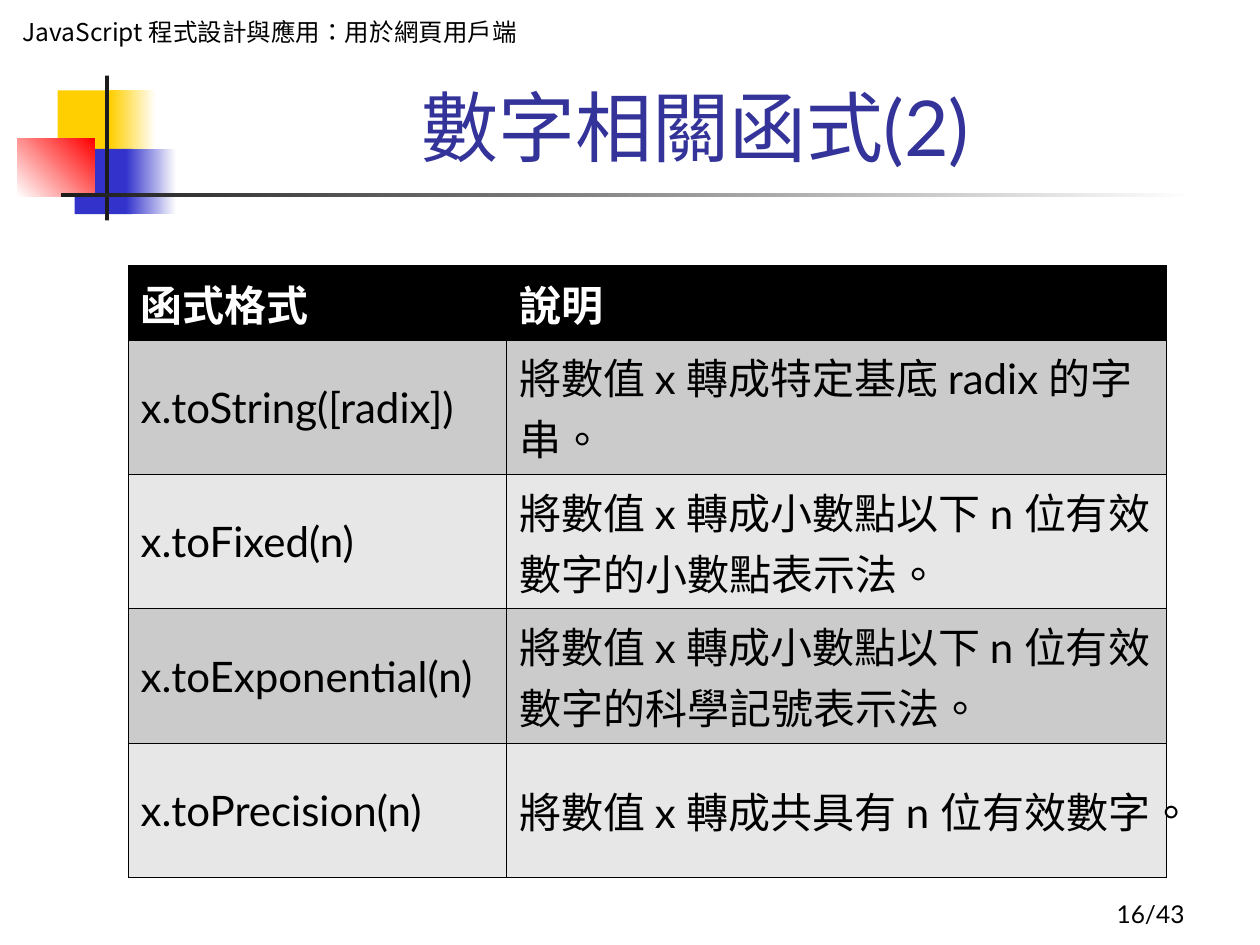
from lxml import etree
from pptx import Presentation
from pptx import util as u
from pptx.dml.color import RGBColor
from pptx.enum import shapes, text
from pptx.oxml.ns import qn

Pt = u.Pt
LATIN, CJK = "Lato", "Noto Sans CJK SC"
BLACK, WHITE, INK = "000000", "FFFFFF", "1C1C1C"
YELLOW, BLUE, RED, TITLE_BLUE = "FFCF01", "3333CC", "FF0000", "333399"
HEAD_FILL, BAND_FILLS = BLACK, ("CBCBCB", "E7E7E7")

ROWS = [
    ("函式格式", "說明"),
    ("x.toString([radix])", "將數值 x 轉成特定基底 radix 的字串。"),
    ("x.toFixed(n)", "將數值 x 轉成小數點以下 n 位有效數字的小數點表示法。"),
    ("x.toExponential(n)", "將數值 x 轉成小數點以下 n 位有效數字的科學記號表示法。"),
    ("x.toPrecision(n)", "將數值 x 轉成共具有 n 位有效數字。"),
]


def color(value):
    return RGBColor.from_string(value)


def write(frame, words, size, tint, bold=False, font=LATIN, align=text.PP_ALIGN.LEFT):
    para = frame.paragraphs[0]
    para.text = words
    para.alignment = align
    para.font.size = Pt(size)
    para.font.name = font
    para.font.bold = bold
    para.font.color.rgb = color(tint)
    # East Asian typeface, and Traditional Chinese for centred punctuation
    east = etree.Element(qn("a:ea"), typeface=CJK)
    para.font._element.find(qn("a:latin")).addnext(east)
    for span in para.runs:
        span.font._element.set("lang", "zh-TW")
    return para


def add_block(page, box, start, end=None, angle=0):
    """A borderless rectangle, plain or with a gradient from start to end."""
    block = page.shapes.add_shape(shapes.MSO_SHAPE.RECTANGLE, *map(Pt, box))
    block.shadow.inherit = False
    block.line.fill.background()
    if end is None:
        block.fill.solid()
        block.fill.fore_color.rgb = color(start)
    else:
        block.fill.gradient()
        block.fill.gradient_angle = angle
        for stop, tint in zip(block.fill.gradient_stops, (start, end)):
            stop.color.rgb = color(tint)
    return block


def add_text(page, box, words, size, tint, align, anchor):
    frame = page.shapes.add_textbox(*map(Pt, box)).text_frame
    frame.word_wrap = True
    frame.vertical_anchor = anchor
    write(frame, words, size, tint, align=align)


def add_emblem(page, box):
    """Overlapping colour squares with a vertical bar and a fading rule."""
    left, top, width, height = box
    parts = [
        (23, 8.4, 34.5, 37.4, YELLOW),
        (53, 8.4, 26, 37.4, YELLOW, WHITE),
        (32.7, 41.8, 33, 37.4, BLUE),
        (62, 41.8, 28.8, 37.4, BLUE, WHITE),
        (0, 36, 44, 33.1, WHITE, RED, 45),
        (50, 0, 2.3, height, INK),
        (24.8, 67, width - 24.8, 2.4, INK, WHITE),
    ]
    for x, y, w, h, *paint in parts:
        add_block(page, (left + x, top + y, w, h), *paint)


def add_course_label(page, box):
    label = add_block(page, box, WHITE)
    frame = label.text_frame
    frame.word_wrap = True
    frame.auto_size = text.MSO_AUTO_SIZE.SHAPE_TO_FIT_TEXT
    frame.vertical_anchor = text.MSO_ANCHOR.TOP
    para = write(frame, "JavaScript 程式設計與應用：用於網頁用戶端", 14, BLACK, font=CJK)
    para.space_before = Pt(8.8)


def add_borders(cell):
    properties = cell._tc.get_or_add_tcPr()
    for index, side in enumerate(("lnL", "lnR", "lnT", "lnB")):
        line = etree.Element(qn("a:" + side), w=str(Pt(0.45)))
        fill = etree.SubElement(line, qn("a:solidFill"))
        etree.SubElement(fill, qn("a:srgbClr"), val=BLACK)
        properties.insert(index, line)


def add_function_table(page, box):
    left, top, width, height = box
    table = page.shapes.add_table(len(ROWS), 2, *map(Pt, box)).table
    first_width, head_height = 216.4, 42.3
    table.columns[0].width = Pt(first_width)
    table.columns[1].width = Pt(width - first_width)
    body_height = (height - head_height) / (len(ROWS) - 1)
    for r, row in enumerate(ROWS):
        head = r == 0
        table.rows[r].height = Pt(head_height if head else body_height)
        for c, words in enumerate(row):
            cell = table.cell(r, c)
            cell.vertical_anchor = text.MSO_ANCHOR.MIDDLE
            cell.fill.solid()
            cell.fill.fore_color.rgb = color(HEAD_FILL if head else BAND_FILLS[(r - 1) % 2])
            write(cell.text_frame, words, 24, WHITE if head else BLACK, bold=head)
            add_borders(cell)


def main():
    deck = Presentation()
    deck.slide_width, deck.slide_height = Pt(720), Pt(540)
    page = deck.slides.add_slide(deck.slide_layouts[6])

    # Header
    add_emblem(page, (10, 43.2, 672.5, 82.8))
    add_course_label(page, (5.8, 6, 337, 24.5))
    add_text(page, (90.7, 41.8, 613.4, 59.8), "數字相關函式(2)", 44, TITLE_BLUE,
             text.PP_ALIGN.CENTER, text.MSO_ANCHOR.BOTTOM)
    # Body
    add_function_table(page, (73.2, 151.9, 593.3, 349.7))
    # Page number
    add_text(page, (534.2, 498.2, 149.8, 36), "16/43", 14, BLACK,
             text.PP_ALIGN.RIGHT, text.MSO_ANCHOR.BOTTOM)

    deck.save("out.pptx")


if __name__ == "__main__":
    main()
